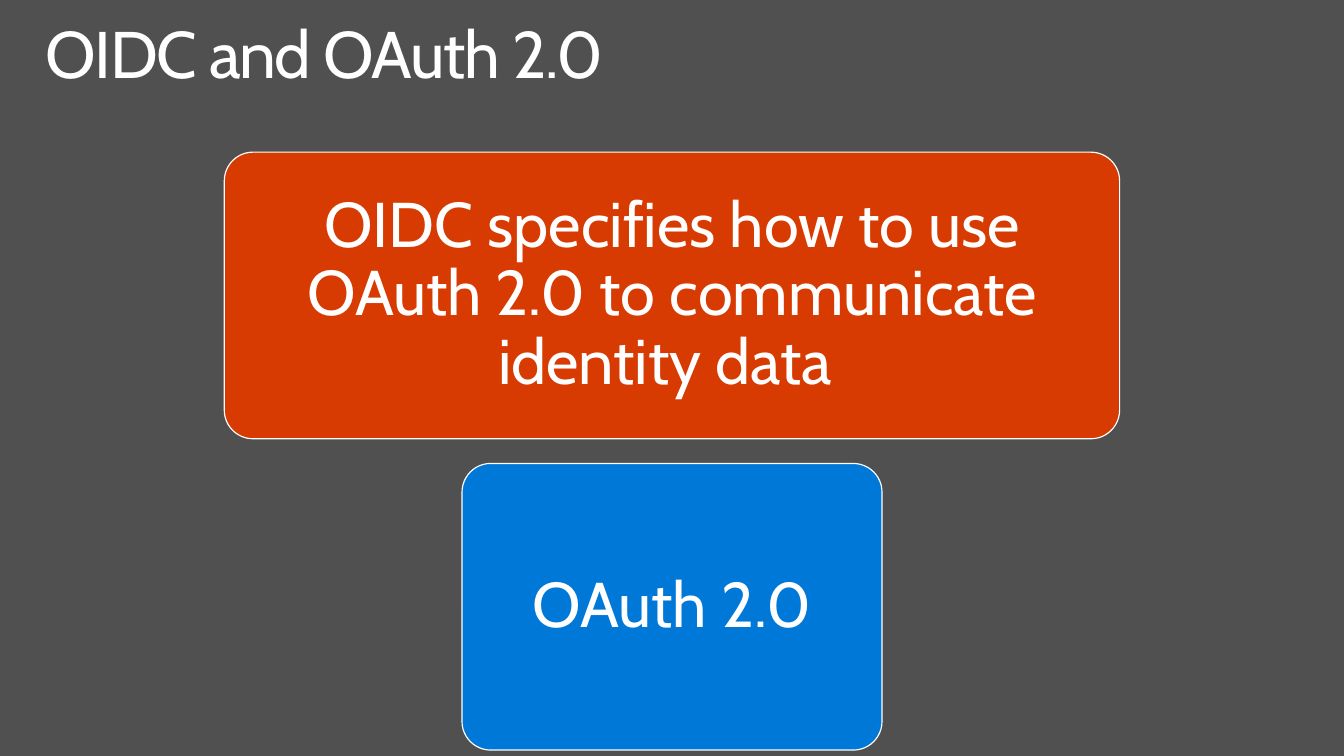
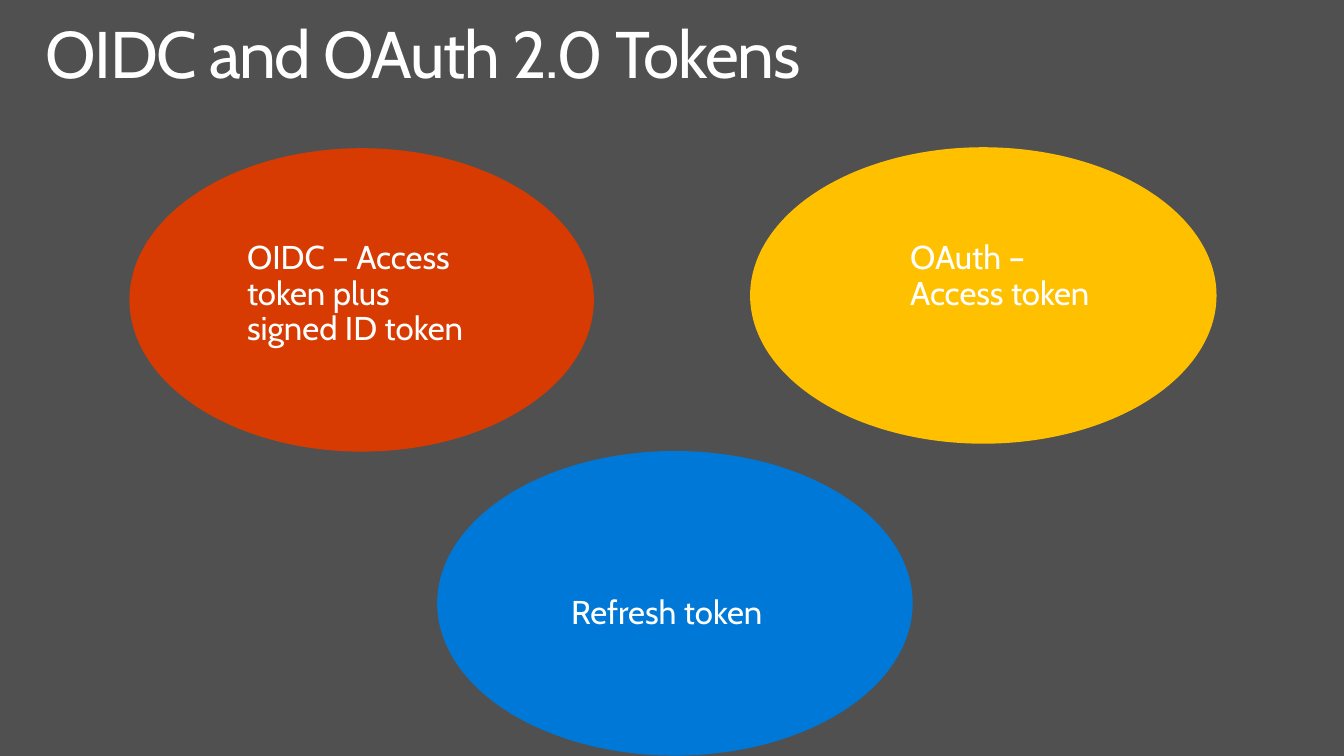
import pptx
import pptx.util
import pptx.dml.color
import pptx.enum.shapes
import pptx.enum.text

Inches = pptx.util.Inches
Pt = pptx.util.Pt
SHAPE = pptx.enum.shapes.MSO_SHAPE
ALIGN = pptx.enum.text.PP_ALIGN
ANCHOR = pptx.enum.text.MSO_ANCHOR

COLORS = {"back": "505050", "text": "FFFFFF", "red": "D83B01",
          "blue": "0078D7", "yellow": "FFC000"}
FONT = "Cabin"


def rgb(name):
    """Return the palette colour as an RGBColor."""
    return pptx.dml.color.RGBColor.from_string(COLORS[name])


def write(sp, text, size, insets, align=ALIGN.LEFT, anchor=ANCHOR.TOP, after=0):
    """Put one styled paragraph into a shape and return its run."""
    tf = sp.text_frame
    tf.word_wrap = True
    tf.auto_size = pptx.enum.text.MSO_AUTO_SIZE.NONE
    tf.vertical_anchor = anchor
    tf.margin_left = tf.margin_right = Inches(insets[0])
    tf.margin_top = tf.margin_bottom = Inches(insets[1])
    p = tf.paragraphs[0]
    p.alignment = align
    p.line_spacing = 0.9
    p.space_before = Pt(0)
    p.space_after = Pt(after)
    r = p.add_run()
    r.text = text
    r.font.name = FONT
    r.font.size = Pt(size)
    r.font.color.rgb = rgb("text")
    return r


def add_titled_slide(prs, title):
    """Add a slide with the shared title style."""
    slide = prs.slides.add_slide(prs.slide_layouts[5])
    sp = slide.shapes.title
    sp.left, sp.top, sp.width, sp.height = map(Inches, (0.3, 0.12, 13, 1))
    r = write(sp, title, 48, (0.16, 0.1))
    r.font._element.set("spc", "-100")
    return slide


def add_filled(slide, kind, box, fill, line=None):
    """Add a filled preset shape, outlined only when a line colour is given."""
    sp = slide.shapes.add_shape(kind, *map(Inches, box))
    sp.shadow.inherit = False
    sp.fill.solid()
    sp.fill.fore_color.rgb = rgb(fill)
    if line:
        sp.line.color.rgb = rgb(line)
        sp.line.width = Pt(0.85)
    else:
        sp.line.fill.background()
    return sp


def add_layers(slide, box, layers, gap=0.25):
    """Stack rounded layers of equal height, centred in the box."""
    left, top, width, height = box
    layer_h = (height - gap * (len(layers) - 1)) / len(layers)
    for i, (text, layer_w, fill) in enumerate(layers):
        place = (left + (width - layer_w) / 2, top + i * (layer_h + gap),
                 layer_w, layer_h)
        sp = add_filled(slide, SHAPE.ROUNDED_RECTANGLE, place, fill, "text")
        sp.adjustments[0] = 0.1
        write(sp, text, 46, (0.19, 0.19), ALIGN.CENTER, ANCHOR.MIDDLE, 16)


def add_token(slide, box, fill, text, label, line=None):
    """Add an oval with a label box placed relative to it."""
    add_filled(slide, SHAPE.OVAL, box, fill, line)
    dx, dy, width, height = label
    place = (box[0] + dx, box[1] + dy, width, height)
    sp = slide.shapes.add_textbox(*map(Inches, place))
    write(sp, text, 24, (0.2, 0.16), after=6)


def main():
    """Build and save the presentation."""
    prs = pptx.Presentation()
    prs.slide_width, prs.slide_height = Inches(13.6), Inches(7.65)
    back = prs.slide_master.background.fill
    back.solid()
    back.fore_color.rgb = rgb("back")

    slide = add_titled_slide(prs, "OIDC and OAuth 2.0")
    add_layers(slide, (2.27, 1.54, 9.06, 6.05), [
        ("OIDC specifies how to use OAuth 2.0 to communicate identity data ",
         9.06, "red"),
        ("OAuth 2.0", 4.25, "blue"),
    ])

    slide = add_titled_slide(prs, "OIDC and OAuth 2.0 Tokens")
    add_token(slide, (7.59, 1.49, 4.72, 3), "yellow",
              "OAuth – Access token", (1.42, 0.79, 2.36, 1.05))
    add_token(slide, (1.31, 1.5, 4.7, 3.07), "red",
              "OIDC – Access token plus signed ID token",
              (0.99, 0.78, 2.74, 1.41))
    add_token(slide, (4.43, 4.57, 4.8, 3.07), "blue",
              "Refresh token", (1.15, 1.3, 2.44, 0.69), "blue")

    prs.save("out.pptx")


if __name__ == "__main__":
    main()
